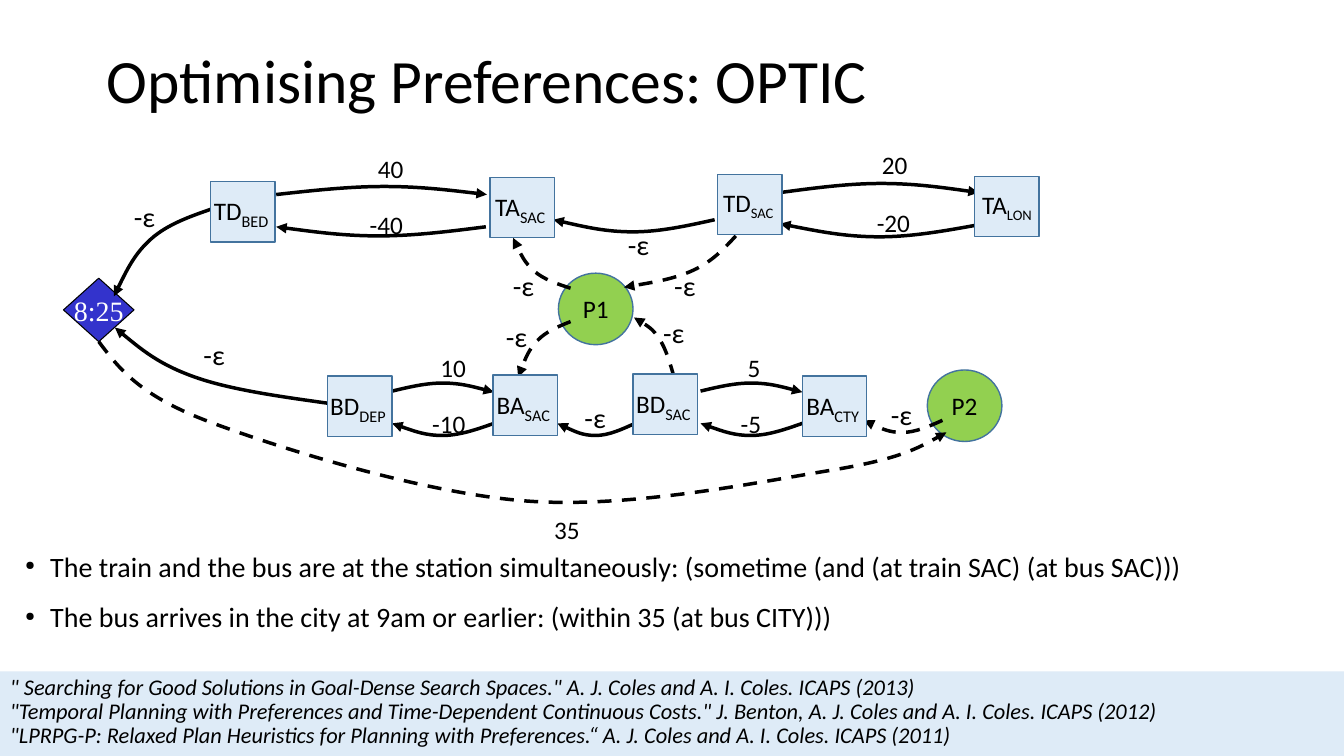
from lxml.etree import SubElement
from pptx import Presentation
from pptx.dml.color import RGBColor
from pptx.enum.dml import MSO_LINE
from pptx.enum.shapes import MSO_SHAPE
from pptx.enum.text import MSO_ANCHOR, MSO_AUTO_SIZE, PP_ALIGN
from pptx.oxml.ns import qn
from pptx.util import Inches, Pt

THEME = {
    "font": "Calibri", "clock_font": "Times New Roman",
    "ink": "000000", "paper": "FFFFFF", "clock": "3333CC",
    "event": "DEEBF7", "preference": "92D050", "outline": "43739E",
    "title": 44, "body": 20, "label": 18, "source": 16,
    "arrow": 2.5, "border": 1, "clock_border": 0.75,
}

deck = Presentation()
deck.slide_width, deck.slide_height = Inches(40 / 3), Inches(7.5)
page = deck.slides.add_slide(deck.slide_layouts[6])

# Grid of 40/3 columns by 7.5 rows
COLUMN = deck.slide_width * 3 / 40
ROW = deck.slide_height * 2 / 15


def put(kind, left, top, width, height, fill=None, border=None, line=THEME["outline"]):
    """Add a preset shape, or a text box when kind is None, on the grid."""
    place = [round(n) for n in (left * COLUMN, top * ROW, width * COLUMN, height * ROW)]
    if kind is None:
        box = page.shapes.add_textbox(*place)
    else:
        box = page.shapes.add_shape(kind, *place)
        box.shadow.inherit = False
        box.fill.solid()
        box.fill.fore_color.rgb = RGBColor.from_string(fill)
        if border:
            box.line.color.rgb = RGBColor.from_string(line)
            box.line.width = Pt(border)
        else:
            box.line.fill.background()
    box.text_frame.word_wrap = True
    return box


def write(box, text, size, color=THEME["ink"], font=THEME["font"],
          align=PP_ALIGN.LEFT, anchor=MSO_ANCHOR.TOP, spacing=None):
    """Fill a box with text and format every paragraph alike."""
    frame = box.text_frame
    frame.text = text
    frame.vertical_anchor = anchor
    for para in frame.paragraphs:
        para.alignment = align
        para.line_spacing = spacing
        for span in para.runs:
            span.font.size = Pt(size)
            span.font.name = font
            span.font.color.rgb = RGBColor.from_string(color)
    return frame


# Title
title = put(None, 0.96, 0.1, 11.5, 1.45)
write(title, "Optimising Preferences: OPTIC", THEME["title"],
      anchor=MSO_ANCHOR.MIDDLE, spacing=0.9)

# Start time
clock = put(MSO_SHAPE.DIAMOND, 0.63, 2.76, 0.7, 0.63,
            THEME["clock"], THEME["clock_border"], THEME["ink"])
write(clock, "8:25", THEME["body"], THEME["paper"], THEME["clock_font"],
      PP_ALIGN.CENTER, MSO_ANCHOR.MIDDLE).word_wrap = False

# Preferences
for name, left, top in (("P1", 5.54, 2.71), ("P2", 9.2, 3.67)):
    circle = put(MSO_SHAPE.OVAL, left, top, 0.74, 0.71,
                 THEME["preference"], THEME["border"])
    write(circle, name, THEME["label"], align=PP_ALIGN.CENTER, anchor=MSO_ANCHOR.MIDDLE)

# Arrows: the points each curve passes through, pointing at the last one
solid_arrows = [
    [(2.11, 2.07), (1.5, 2.37), (1.13, 2.94)],
    [(3.25, 4), (1.93, 3.74), (1.14, 3.25)],
    [(2.74, 1.93), (3.81, 1.85), (4.83, 1.93)],
    [(4.82, 2.25), (3.76, 2.34), (2.74, 2.25)],
    [(7.09, 2.18), (6.28, 2.3), (5.49, 2.18)],
    [(7.74, 1.91), (8.74, 1.82), (9.71, 1.91)],
    [(9.71, 2.23), (8.71, 2.35), (7.74, 2.22)],
    [(6.3, 4.2), (5.91, 4.32), (5.53, 4.2)],
]
for left in (3.89, 6.95):
    solid_arrows.append([(left, 3.88), (left + 0.51, 3.8), (left + 1.01, 3.89)])
    solid_arrows.append([(left + 1.01, 4.2), (left + 0.5, 4.32), (left, 4.2)])
dashed_arrows = [
    [(5.66, 3.19), (5.33, 3.38), (5.14, 3.74)],
    [(6.69, 3.75), (6.54, 3.36), (6.29, 3.15)],
    [(7.3, 2.34), (6.88, 2.68), (6.19, 2.85)],
    [(5.66, 2.86), (5.3, 2.69), (5.09, 2.36)],
    [(9.35, 4.17), (8.95, 4.29), (8.57, 4.17)],
    [(0.98, 3.39), (2.09, 4.19), (5.21, 4.97), (8.22, 4.67), (9.39, 4.29)],
]
for number, stops in enumerate(solid_arrows + dashed_arrows):
    # Tangent at an inner stop is a sixth of the step between its neighbours
    tangents = [((after[0] - before[0]) / 6, (after[1] - before[1]) / 6)
                for before, after in zip(stops, stops[2:])]
    tangents = [None] + tangents + [None]
    curve = []
    for i, (start, end) in enumerate(zip(stops, stops[1:])):
        leave, arrive = tangents[i], tangents[i + 1]
        first = leave and (start[0] + leave[0], start[1] + leave[1])
        second = arrive and (end[0] - arrive[0], end[1] - arrive[1])
        first = first or ((start[0] + second[0]) / 2, (start[1] + second[1]) / 2)
        second = second or ((first[0] + end[0]) / 2, (first[1] + end[1]) / 2)
        curve += [first, second, end]
    points = [(x * COLUMN, y * ROW) for x, y in [stops[0]] + curve]
    builder = page.shapes.build_freeform(*points[0])
    builder.add_line_segments(points[1:], close=False)
    arrow = builder.convert_to_shape()
    # Each three straight steps become one Bézier segment
    steps = list(arrow._element.iter(qn("a:lnTo")))
    for i in range(0, len(steps), 3):
        bezier = SubElement(steps[i].getparent(), qn("a:cubicBezTo"))
        for step in steps[i:i + 3]:
            bezier.append(step[0])
            step.getparent().remove(step)
    arrow.shadow.inherit = False
    arrow.fill.background()
    arrow.line.color.rgb = RGBColor.from_string(THEME["ink"])
    arrow.line.width = Pt(THEME["arrow"])
    if number >= len(solid_arrows):
        arrow.line.dash_style = MSO_LINE.DASH
    SubElement(arrow.line._get_or_add_ln(), qn("a:tailEnd"), type="triangle")

# Arrow labels
durations = [
    ("40", 3.65, 1.47, 0.46), ("-40", 3.57, 2.03, 0.54),
    ("20", 8.65, 1.43, 0.46), ("-20", 8.6, 2.01, 0.54),
    ("10", 4.27, 3.45, 0.46), ("-10", 4.19, 4, 0.54),
    ("5", 7.32, 3.45, 0.33), ("-5", 7.25, 4, 0.41), ("35", 5.4, 5.05, 0.46),
]
epsilons = [(5.7, 3.92), (6.13, 2.21), (1.92, 3.3), (1.23, 1.93), (4.99, 2.61),
            (6.59, 2.61), (6.48, 3.08), (4.92, 3.12), (8.74, 3.89)]
labels = [(*duration, 0.4, THEME["label"]) for duration in durations]
labels += [("-ε", left, top, 0.42, 0.44, THEME["body"]) for left, top in epsilons]
for text, left, top, width, height, size in labels:
    frame = write(put(None, left, top, width, height), text, size)
    frame.word_wrap = False
    frame.auto_size = MSO_AUTO_SIZE.SHAPE_TO_FIT_TEXT

# Events: train and bus, departing and arriving
events = [
    ("TD", "BED ", 2.09, 1.8, 20), ("TA", "SAC ", 4.86, 1.76, 20),
    ("TD", "SAC ", 7.12, 1.73, 18), ("TA", "LON", 9.67, 1.75, 18),
    ("BD", "DEP ", 3.25, 3.73, 20), ("BA", "SAC ", 4.89, 3.72, 20),
    ("BD", "SAC ", 6.28, 3.71, 20), ("BA", "CTY ", 7.96, 3.73, 20),
]
for action, stop, left, top, size in events:
    box = put(MSO_SHAPE.RECTANGLE, left, top, 0.64, 0.6, THEME["event"], THEME["border"])
    frame = write(box, action, THEME["label"], align=PP_ALIGN.CENTER,
                  anchor=MSO_ANCHOR.MIDDLE)
    frame.margin_left = frame.margin_right = frame.margin_top = frame.margin_bottom = 0
    span = frame.paragraphs[0].add_run()
    span.text = stop
    span.font.size = Pt(size)
    span.font.name = THEME["font"]
    span.font.color.rgb = RGBColor.from_string(THEME["ink"])
    span.font._element.set("baseline", "-25000")

# Preference descriptions
descriptions = [
    "The train and the bus are at the station simultaneously: "
    "(sometime (and (at train SAC) (at bus SAC)))",
    "The bus arrives in the city at 9am or earlier: (within 35 (at bus CITY)))",
]
for row, text in enumerate(descriptions):
    box = put(None, 0.15, 5.44 + row * 0.5, 12.28, 0.77)
    para = write(box, text, THEME["body"], spacing=0.9).paragraphs[0]
    layout = para._p.get_or_add_pPr()
    layout.set("marL", str(Inches(0.25)))
    layout.set("indent", str(-Inches(0.25)))
    SubElement(layout, qn("a:buSzPct"), val="45000")
    SubElement(layout, qn("a:buChar"), char="●")

# Sources
band = put(MSO_SHAPE.RECTANGLE, 0, 6.66, 40 / 3, 0.84, THEME["event"])
sources = [
    '" Searching for Good Solutions in Goal-Dense Search Spaces." '
    "A. J. Coles and A. I. Coles. ICAPS (2013)",
    '"Temporal Planning with Preferences and Time-Dependent Continuous Costs." '
    "J. Benton, A. J. Coles and A. I. Coles. ICAPS (2012)",
    '"LPRPG-P: Relaxed Plan Heuristics for Planning with Preferences.“ '
    "A. J. Coles and A. I. Coles. ICAPS (2011)",
]
for para in write(band, "\n".join(sources), THEME["source"], spacing=0.9).paragraphs:
    para.runs[0].font.italic = True

deck.save("out.pptx")
